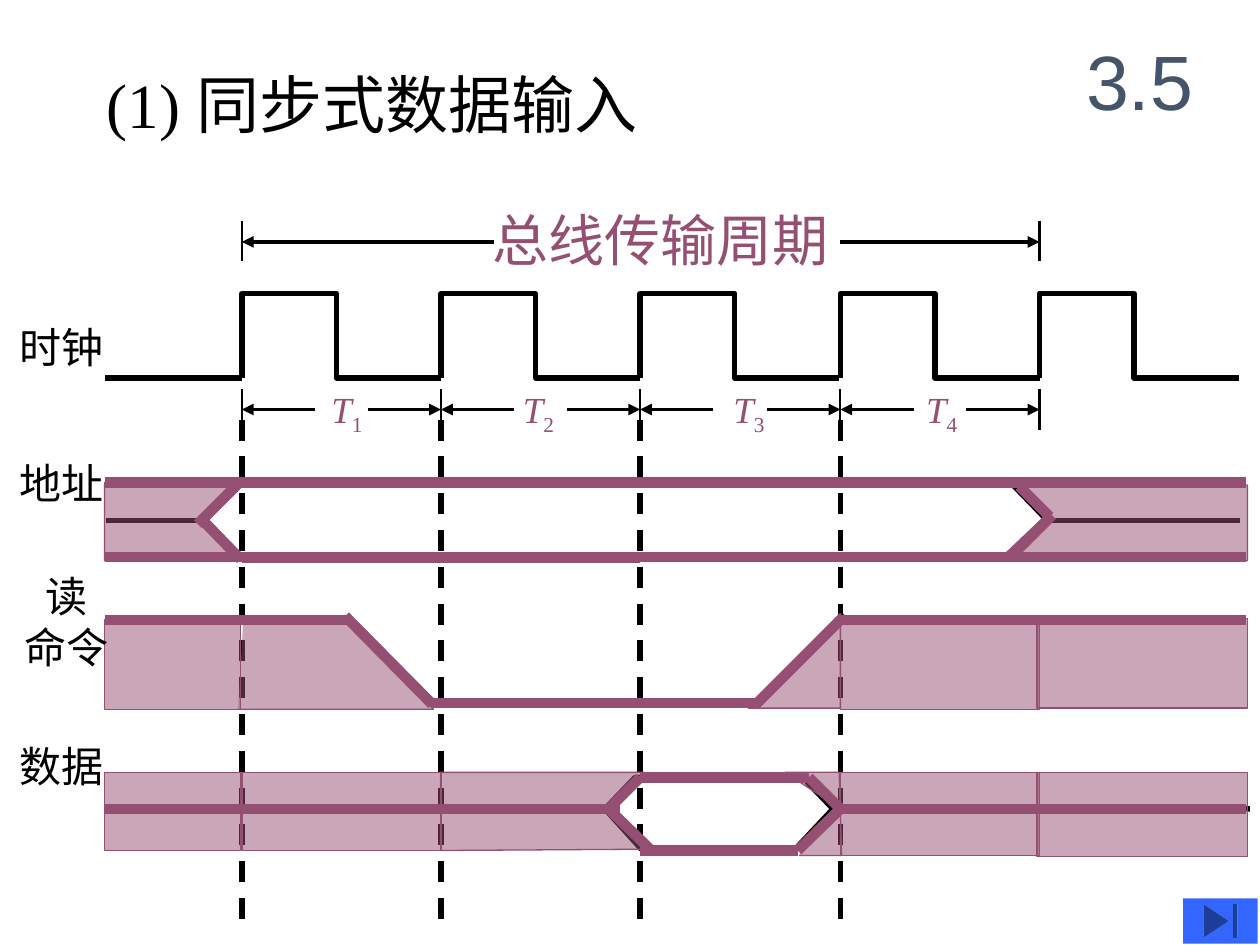
"""Builds the slide with the timing diagram of synchronous data input."""
from dataclasses import dataclass
from itertools import pairwise

from lxml import etree
from pptx import Presentation
from pptx import util as u
from pptx.dml.color import RGBColor
from pptx.enum import dml, shapes, text
from pptx.oxml.ns import qn


@dataclass(frozen=True)
class Theme:
    ink: str = "000000"
    accent: str = "954F72"
    number: str = "44546A"
    button: str = "3366FF"
    serif: str = "Times New Roman"
    sans: str = "Arial"
    cjk: str = "Noto Sans CJK SC"
    number_size: int = 44
    heading_size: int = 36
    period_size: int = 32
    label_size: int = 24
    cycle_size: int = 21
    hair: float = 0.75
    tick: float = 1.25
    arrow: float = 2.25
    outline: float = 3
    signal: float = 6


TH = Theme()
EDGES = [1.92, 3.5, 5.08, 6.67, 8.25]
BOUNDS = [0.83, 1.92, 3.5, 5.08, 6, 6.67, 8.25, 9.89]
CLOCK_HIGH, CLOCK_LOW = 2.33, 3
ADDRESS_HIGH, ADDRESS_LOW = 3.83, 4.42
READ_HIGH, READ_LOW = 4.92, 5.58
DATA_HIGH, DATA_MID, DATA_LOW = 6.17, 6.42, 6.75
CYCLE_LABELS = [2.63, 4.15, 5.82, 7.35]
LABELS = [(0.14, 2.5, ["时钟"]), (0.14, 3.58, ["地址"]),
          (0.18, 4.48, ["读", "命令"]), (0.14, 5.83, ["数据"])]
BLACK_LINES = [
    (0.84, 4.9, 2.78, 4.9), (3.46, 5.59, 2.76, 4.89), (6.7, 4.88, 6.02, 5.56),
    (3.44, 5.57, 6.03, 5.57), (6.69, 4.9, 9.87, 4.9), (1.92, 3, 0.83, 3),
    (1.67, 4.13, 0.84, 4.13), (8.33, 4.13, 9.84, 4.13),
    (0.83, 6.42, 4.8, 6.42), (6.61, 6.41, 9.92, 6.42)]
ADDRESS_OUTLINE = [(1.91, 3.83), (1.62, 4.13), (1.92, 4.43), (8.02, 4.43),
                   (8.31, 4.13), (8.02, 3.83)]
DATA_OUTLINE = [(4.8, 6.42), (5.04, 6.17), (6.37, 6.17), (6.61, 6.42),
                (6.31, 6.74), (5.09, 6.74)]
BANDS = [(0.83, 4.92, 1.08, 0.71), (0.83, 6.13, 1.08, 0.62),
         (1.92, 6.13, 1.58, 0.62), (6.67, 4.92, 1.58, 0.71),
         (6.67, 6.13, 1.58, 0.66), (8.23, 4.91, 1.67, 0.71),
         (8.23, 6.13, 1.67, 0.67)]
SHADED = [
    [(1.62, 4.17), (1.84, 3.84), (0.83, 3.83), (0.83, 4.45), (1.9, 4.45)],
    [(1.89, 5.63), (3.44, 5.63), (2.76, 4.92), (1.93, 4.94)],
    [(3.49, 6.13), (5.11, 6.13), (4.83, 6.42), (5.11, 6.74), (3.5, 6.75)],
    [(5.94, 5.62), (6.67, 5.62), (6.67, 4.87), (5.94, 5.62)],
    [(6.67, 6.42), (6.23, 6.13), (6.66, 6.13), (6.68, 6.79), (6.34, 6.79)],
    [(8.06, 3.83), (9.9, 3.85), (9.9, 4.45), (7.92, 4.45), (8.31, 4.08)]]
LEVELS = [
    (READ_HIGH, [(0.83, 1.92), (1.92, 2.75), (6.67, 8.25), (8.23, 9.89)]),
    (READ_LOW, [(3.42, 5.13), (5.08, 6)]),
    (DATA_HIGH, [(5.08, 6), (6, 6.42)]),
    (DATA_MID, [(0.83, 1.92), (1.92, 3.5), (3.5, 4.92), (6.67, 8.25),
                (8.23, 9.89)]),
    (DATA_LOW, [(5.08, 6), (5.92, 6.33)])]
SLOPES = [
    (1.91, 4.44, 1.59, 4.11), (1.89, 3.84, 1.57, 4.16),
    (3.43, 5.59, 2.74, 4.89), (6.69, 4.9, 5.99, 5.6),
    (4.83, 6.42, 5.08, 6.17), (4.83, 6.42, 5.17, 6.75),
    (6.33, 6.75, 6.67, 6.42), (6.42, 6.17, 6.67, 6.42),
    (8.35, 4.09, 8.03, 4.41), (8.33, 4.1, 8.09, 3.86)]


def apply(obj, fmt):
    """Set each attribute of obj that fmt names."""
    for name, value in fmt.items():
        setattr(obj, name, value)


def add_run(p, words, size, font, color, italic=False, baseline=None):
    """Add one formatted run to a paragraph."""
    r = p.add_run()
    r.text = words
    apply(r.font, {"size": u.Pt(size), "name": font, "italic": italic})
    r.font.color.rgb = RGBColor.from_string(color)
    if baseline:
        r.font._element.set("baseline", str(baseline))


def text_box(s, x, y, w, h, inset=(0, 0), wrap=False):
    """Add an empty text box and return its text frame."""
    tf = s.shapes.add_textbox(*map(u.Inches, (x, y, w, h))).text_frame
    side, top = map(u.Inches, inset)
    apply(tf, {"margin_left": side, "margin_right": side, "margin_top": top,
               "margin_bottom": top, "word_wrap": wrap})
    return tf


def line(s, x1, y1, x2, y2, width, color=TH.ink, end=None, dash=None):
    """Draw a straight line, with an arrowhead at headEnd or tailEnd."""
    cx = s.shapes.add_connector(shapes.MSO_CONNECTOR.STRAIGHT,
                                *map(u.Inches, (x1, y1, x2, y2)))
    apply(cx.line, {"width": u.Pt(width), "dash_style": dash})
    cx.line.color.rgb = RGBColor.from_string(color)
    if end:
        etree.SubElement(cx.line._get_or_add_ln(), qn(f"a:{end}"), type="triangle")
    etree.SubElement(cx._element.spPr, qn("a:effectLst"))


def outline(s, points, close=False):
    """Draw an unfilled black path."""
    sp = freeform(s, points, close)
    sp.fill.background()
    stroke(sp, TH.ink, TH.outline)


def freeform(s, points, close):
    """Build a path through points given in inches."""
    start, *rest = [tuple(map(u.Inches, point)) for point in points]
    builder = s.shapes.build_freeform(*start)
    builder.add_line_segments(rest, close=close)
    return builder.convert_to_shape()


def stroke(sp, color, width):
    """Set the line of a shape and drop its shadow."""
    sp.shadow.inherit = False
    sp.line.color.rgb = RGBColor.from_string(color)
    sp.line.width = u.Pt(width)


def shade(sp):
    """Give a shape the half-transparent accent fill."""
    sp.fill.solid()
    sp.fill.fore_color.rgb = RGBColor.from_string(TH.accent)
    color = sp._element.spPr.find(qn("a:solidFill"))[0]
    etree.SubElement(color, qn("a:alpha"), val="50000")
    stroke(sp, TH.accent, TH.hair)


def add_headings(s):
    """Write the section number and the heading."""
    title = s.shapes.title
    apply(title, dict(zip(("left", "top", "width", "height"),
                          map(u.Inches, (8.42, 0.17, 1.25, 0.92)))))
    tf = title.text_frame
    tf.vertical_anchor = text.MSO_ANCHOR.MIDDLE
    add_run(tf.paragraphs[0], "3.5", TH.number_size, TH.sans, TH.number)
    tf = text_box(s, 0.75, 0.47, 5.17, 0.7, (0.1, 0.05), True)
    add_run(tf.paragraphs[0], "(1) 同步式数据输入", TH.heading_size, TH.serif, TH.ink)


def add_labels(s):
    """Name the four signals at the left."""
    for x, y, words in LABELS:
        tf = text_box(s, x, y, 0.7, 0.1 + 0.4 * len(words), (0, 0.05))
        for i, word in enumerate(words):
            p = tf.add_paragraph() if i else tf.paragraphs[0]
            p.alignment = text.PP_ALIGN.CENTER
            add_run(p, word, TH.label_size, TH.serif, TH.ink)


def add_clock(s):
    """Draw the clock with its period and cycle dimensions."""
    for x in EDGES:
        outline(s, [(x, CLOCK_LOW), (x, CLOCK_HIGH), (x + 0.75, CLOCK_HIGH),
                    (x + 0.75, CLOCK_LOW), (x + 1.58, CLOCK_LOW)])
        line(s, x, 3.09, x, 3.41, TH.tick)
    for x in (EDGES[0], EDGES[-1]):
        line(s, x, 1.75, x, 2.07, TH.tick)
    line(s, EDGES[0], 1.92, 3.92, 1.92, TH.arrow, end="headEnd")
    line(s, 6.67, 1.92, EDGES[-1], 1.92, TH.arrow, end="tailEnd")
    tf = text_box(s, 3.91, 1.63, 2.67, 0.53)
    add_run(tf.paragraphs[0], "总线传输周期", TH.period_size, TH.cjk, TH.accent)
    for i, (a, b) in enumerate(pairwise(EDGES)):
        line(s, a, 3.25, a + 0.58, 3.25, TH.arrow, end="headEnd")
        line(s, b - 0.58, 3.25, b, 3.25, TH.arrow, end="tailEnd")
        p = text_box(s, CYCLE_LABELS[i], 3.07, 0.25, 0.4).paragraphs[0]
        add_run(p, "T", TH.cycle_size, TH.serif, TH.accent, italic=True)
        add_run(p, str(i + 1), TH.cycle_size, TH.serif, TH.accent, baseline=-25000)


def add_signals(s):
    """Draw the address, read command and data signals."""
    for ends in BLACK_LINES:
        line(s, *ends, TH.outline)
    outline(s, ADDRESS_OUTLINE, close=True)
    outline(s, DATA_OUTLINE, close=True)
    for x in EDGES[:-1]:
        line(s, x, 3.33, x, 7.4, TH.outline, dash=dml.MSO_LINE.DASH)
    for box in BANDS:
        shade(s.shapes.add_shape(shapes.MSO_SHAPE.RECTANGLE, *map(u.Inches, box)))
    for points in SHADED:
        shade(freeform(s, points, close=False))
    for a, b in pairwise(EDGES[:3]):
        for y in (3.85, 4.45):
            line(s, a, y, b, y, TH.outline, TH.accent)
    rails = [(y, list(pairwise(BOUNDS))) for y in (ADDRESS_HIGH, ADDRESS_LOW)]
    for y, spans in rails + LEVELS:
        for a, b in spans:
            line(s, a, y, b, y, TH.signal, TH.accent)
    for ends in SLOPES:
        line(s, *ends, TH.signal, TH.accent)


def add_button(s):
    """Place the button that leads to the end."""
    sp = s.shapes.add_shape(shapes.MSO_SHAPE.ACTION_BUTTON_END,
                            *map(u.Inches, (9.39, 7.13, 0.59, 0.36)))
    sp.shadow.inherit = False
    sp.fill.solid()
    sp.fill.fore_color.rgb = RGBColor.from_string(TH.button)
    sp.line.fill.background()


def main():
    """Build and save the slide."""
    prs = Presentation()
    apply(prs, {"slide_width": u.Inches(10), "slide_height": u.Inches(7.5)})
    s = prs.slides.add_slide(prs.slide_layouts[5])
    add_headings(s)
    add_clock(s)
    add_signals(s)
    add_labels(s)
    add_button(s)
    prs.save("out.pptx")


if __name__ == "__main__":
    main()
